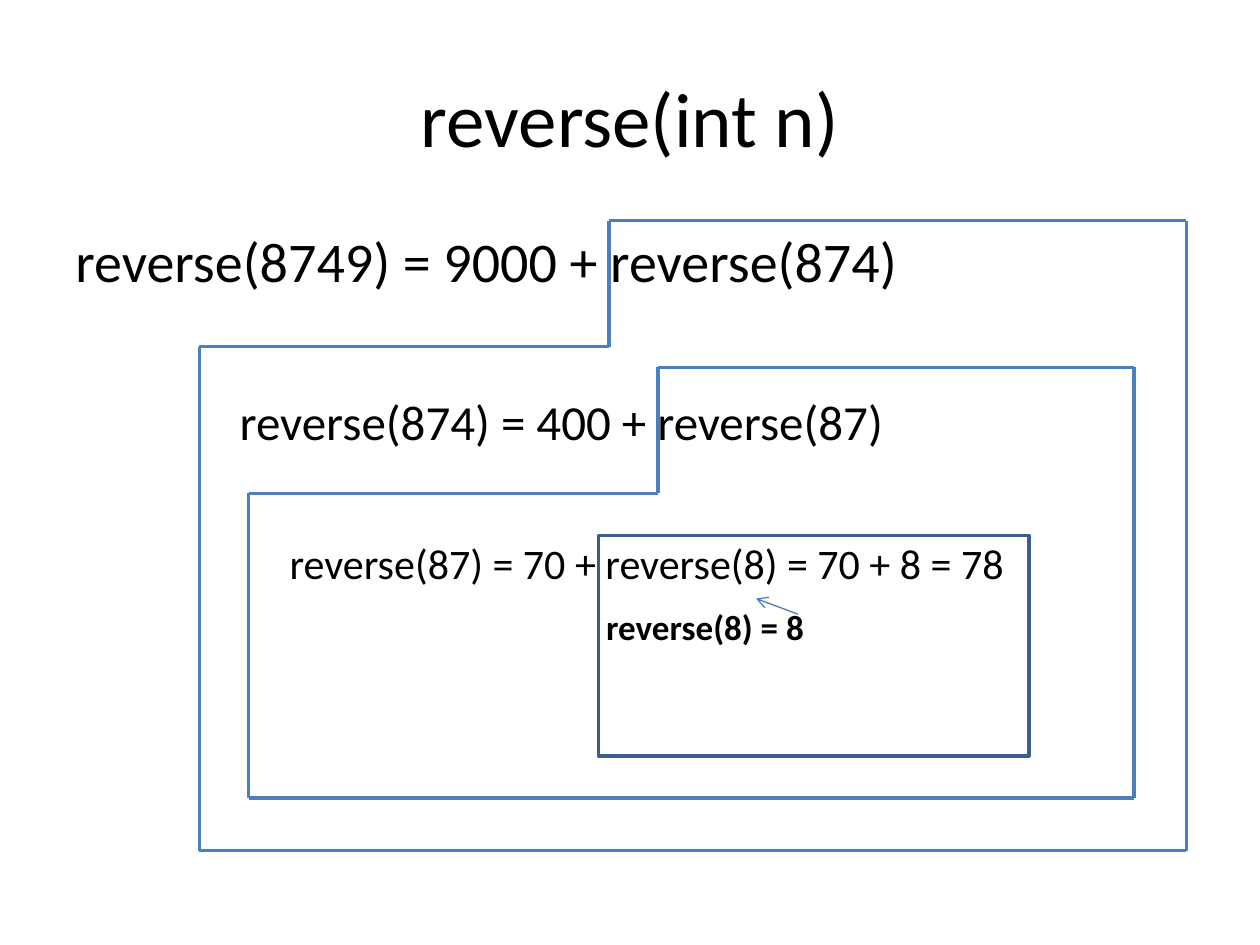
import pptx
import pptx.util
import pptx.dml.color
import pptx.enum.shapes
import pptx.enum.text
import pptx.oxml
import pptx.oxml.ns

BLACK = pptx.dml.color.RGBColor(0x00, 0x00, 0x00)
CALL_BLUE = pptx.dml.color.RGBColor(0x4B, 0x7E, 0xBC)
BASE_BLUE = pptx.dml.color.RGBColor(0x3A, 0x5F, 0x8C)
FONT = "Calibri"

# Boxes are (column, row, columns, rows) on a grid of twelve cells to the inch.
TITLE_BOX = (6, 3.6, 108, 15)
TRACE_BOX = (6, 21, 113, 59.4)
CALL_BOXES = [(19, 21, 94, 60), (23.67, 35, 84.33, 41)]
BASE_CASE_BOX = (57, 51, 41, 21)
NOTCH_COLUMNS, NOTCH_ROWS = 39, 12

# text, size, indent in columns, space before in points, bold
TRACE = [
    ("reverse(8749) = 9000 + reverse(874)", 32, 0, 0, False),
    ("reverse(874) = 400 + reverse(87)", 28, 15.65, 55.5, False),
    ("reverse(87) = 70 + reverse(8) = 70 + 8 = 78", 24, 20.4, 50, False),
    ("reverse(8) = 8", 20, 50.55, 10, True),
]


def cells(count):
    """Return the length of a number of grid cells."""
    return pptx.util.Inches(count / 12)


def add_text_frame(slide, box, anchor):
    """Add a wrapping text box in the grid box and return its frame."""
    frame = slide.shapes.add_textbox(*map(cells, box)).text_frame
    frame.word_wrap = True
    frame.vertical_anchor = anchor
    return frame


def add_words(paragraph, words, size, bold=False):
    """Add one black run to the paragraph."""
    run = paragraph.add_run()
    run.text = words
    run.font.name = FONT
    run.font.size = pptx.util.Pt(size)
    run.font.bold = bold
    run.font.color.rgb = BLACK


def add_title(slide, box):
    """Place the centred slide title."""
    frame = add_text_frame(slide, box, pptx.enum.text.MSO_ANCHOR.MIDDLE)
    heading = frame.paragraphs[0]
    heading.alignment = pptx.enum.text.PP_ALIGN.CENTER
    add_words(heading, "reverse(int n)", 44)


def add_trace(slide, box):
    """Write the calls, each indented to its own depth."""
    frame = add_text_frame(slide, box, pptx.enum.text.MSO_ANCHOR.TOP)
    for index, (words, size, indent, gap, bold) in enumerate(TRACE):
        call = frame.add_paragraph() if index else frame.paragraphs[0]
        call.space_before = pptx.util.Pt(gap)
        call._p.get_or_add_pPr().set("marL", str(cells(indent)))
        add_words(call, words, size, bold)


def add_line(slide, start, end, width):
    """Draw a straight line between two grid points."""
    line = slide.shapes.add_connector(
        pptx.enum.shapes.MSO_CONNECTOR.STRAIGHT, *map(cells, start + end))
    line.line.color.rgb = CALL_BLUE
    line.line.width = pptx.util.Pt(width)
    line._element.spPr.append(pptx.oxml.parse_xml(
        "<a:effectLst %s/>" % pptx.oxml.ns.nsdecls("a")))
    return line


def add_call_outline(slide, box):
    """Outline a call, leaving out a notch at its top left corner."""
    left, top, columns, rows = box
    right, bottom = left + columns, top + rows
    notch_x, notch_y = left + NOTCH_COLUMNS, top + NOTCH_ROWS
    corners = [(notch_x, notch_y), (notch_x, top), (right, top),
               (right, bottom), (left, bottom), (left, notch_y)]
    for start, end in zip(corners, corners[1:] + corners[:1]):
        add_line(slide, start, end, 2.25)


def add_base_case(slide, box):
    """Frame the base case and point its value back to the caller."""
    frame = slide.shapes.add_shape(
        pptx.enum.shapes.MSO_SHAPE.RECTANGLE, *map(cells, box))
    frame.shadow.inherit = False
    frame.fill.background()
    frame.line.color.rgb = BASE_BLUE
    frame.line.width = pptx.util.Pt(2)
    left, top = box[:2]
    returned = add_line(slide, (left + 19, top + 7.5), (left + 15, top + 6), 0.75)
    returned.line._get_or_add_ln().append(pptx.oxml.parse_xml(
        '<a:tailEnd %s type="arrow"/>' % pptx.oxml.ns.nsdecls("a")))


def build():
    """Build and save the slide."""
    deck = pptx.Presentation()
    deck.slide_width, deck.slide_height = cells(120), cells(90)
    slide = deck.slides.add_slide(deck.slide_layouts[6])
    add_title(slide, TITLE_BOX)
    add_trace(slide, TRACE_BOX)
    for box in CALL_BOXES:
        add_call_outline(slide, box)
    add_base_case(slide, BASE_CASE_BOX)
    deck.save("out.pptx")


build()
